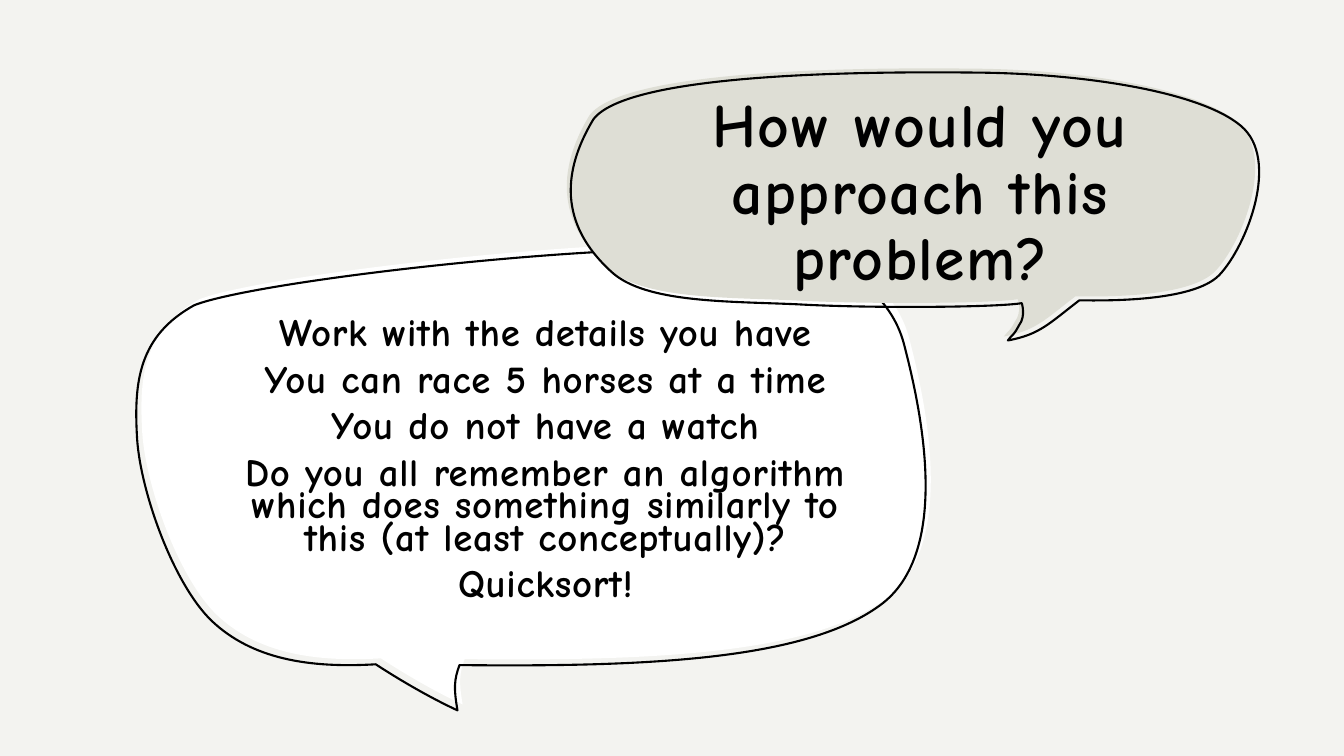
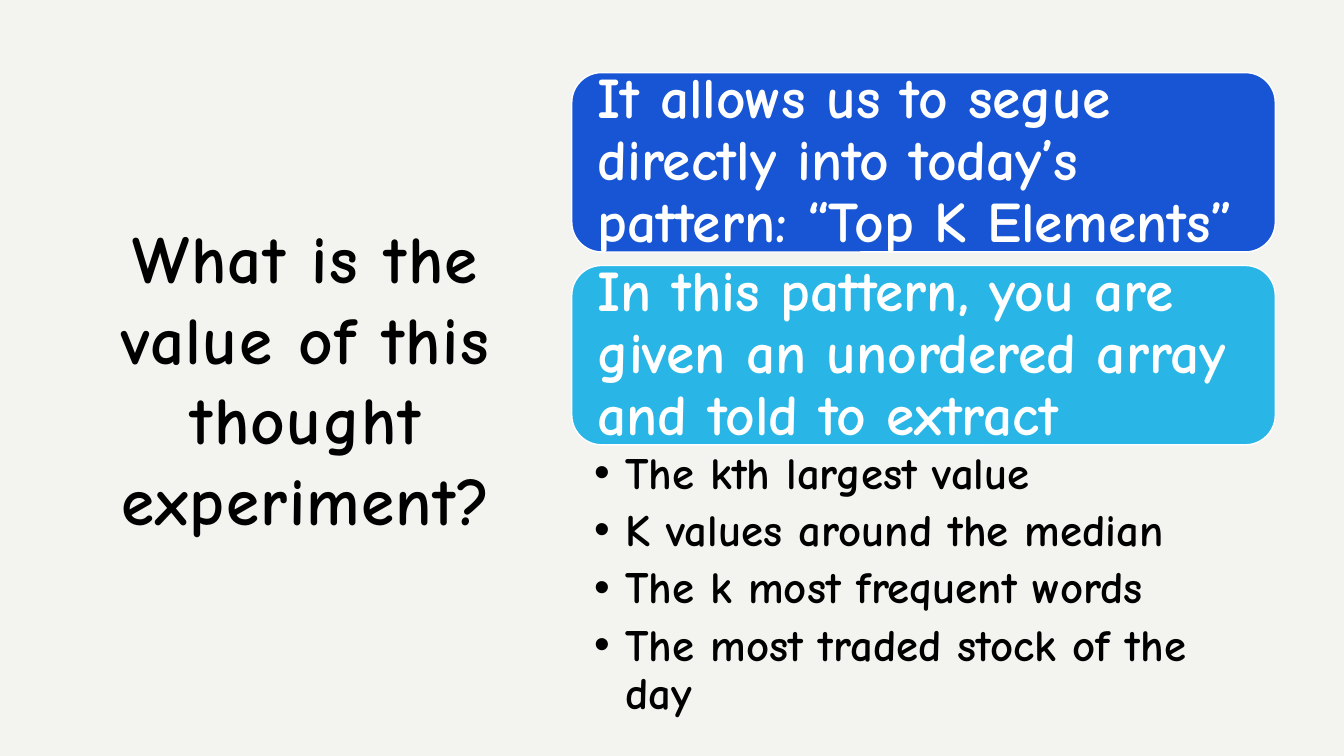
import lxml.etree
import pptx
import pptx.dml.color
import pptx.enum.shapes
import pptx.enum.text
import pptx.oxml.ns
import pptx.util
from dataclasses import dataclass

Cm = pptx.util.Cm
Pt = pptx.util.Pt
qn = pptx.oxml.ns.qn
RGB = pptx.dml.color.RGBColor.from_string
SHAPE = pptx.enum.shapes.MSO_SHAPE
CENTER = pptx.enum.text.PP_ALIGN.CENTER
LEFT = pptx.enum.text.PP_ALIGN.LEFT
MIDDLE = pptx.enum.text.MSO_ANCHOR.MIDDLE
TOP = pptx.enum.text.MSO_ANCHOR.TOP


@dataclass(frozen=True)
class Theme:
    font: str = "Comic Neue"
    paper: str = "F3F3F0"
    ink: str = "000000"
    white: str = "FFFFFF"
    stone: str = "DEDED5"
    blue: str = "1755D5"
    sky: str = "29B6E7"
    question_size: float = 44
    title_size: float = 48
    answer_size: float = 27.7
    card_size: float = 41
    list_size: float = 32
    outline: float = 1.5


theme = Theme()


def write(shape, lines, size, color=theme.ink, align=CENTER, anchor=MIDDLE, leading=1.0,
          before=0, after=0, tracking=0, insets=(0.25, 0.13, 0.25, 0.13), hanging=None):
    """Fill a shape with bold paragraphs; a hanging indent in cm makes them bulleted."""
    frame = shape.text_frame
    frame.word_wrap = True
    frame.auto_size = pptx.enum.text.MSO_AUTO_SIZE.NONE
    frame.vertical_anchor = anchor
    frame.margin_left, frame.margin_top, frame.margin_right, frame.margin_bottom = map(Cm, insets)
    for index, line in enumerate(lines):
        paragraph = frame.add_paragraph() if index else frame.paragraphs[0]
        paragraph.alignment = align
        paragraph.line_spacing = leading
        paragraph.space_before, paragraph.space_after = Pt(before), Pt(after)
        properties = paragraph._p.get_or_add_pPr()
        indent = Cm(hanging or 0)
        properties.set("marL", str(indent))
        properties.set("indent", str(-indent))
        if hanging:
            lxml.etree.SubElement(properties, qn("a:buFont")).set("typeface", "Arial")
            lxml.etree.SubElement(properties, qn("a:buChar")).set("char", "•")
        else:
            lxml.etree.SubElement(properties, qn("a:buNone"))
        run = paragraph.add_run()
        run.text = line
        run.font.name, run.font.size, run.font.bold = theme.font, Pt(size), True
        run.font.color.rgb = RGB(color)
        if tracking:
            run._r.get_or_add_rPr().set("spc", str(round(tracking * 100)))


def add_bubble(slide, start, curves, shift=(0, 0)):
    """Draw a closed outline of cubic curves, given in cm."""
    def place(x, y):
        return Cm(x + shift[0]), Cm(y + shift[1])

    # Points along the curves give the shape its exact bounds
    origin, samples = place(*start), []
    corner = origin
    curves = [[place(*point) for point in curve] for curve in curves]
    for curve in curves:
        for step in range(1, 11):
            t = step / 10
            weights = ((1 - t) ** 3, 3 * t * (1 - t) ** 2, 3 * t * t * (1 - t), t ** 3)
            points = (corner, *curve)
            samples.append(tuple(round(sum(w * p[axis] for w, p in zip(weights, points)))
                                 for axis in (0, 1)))
        corner = curve[-1]
    builder = slide.shapes.build_freeform(*origin)
    builder.add_line_segments(samples, close=True)
    bubble = builder.convert_to_shape()
    bubble.shadow.inherit = False

    # Real curves take the place of the straight segments
    outline = bubble._element.find(".//" + qn("a:path"))
    for segment in list(outline):
        outline.remove(segment)
    for tag, points in [("a:moveTo", [origin]), *(("a:cubicBezTo", curve) for curve in curves)]:
        segment = lxml.etree.SubElement(outline, qn(tag))
        for x, y in points:
            point = lxml.etree.SubElement(segment, qn("a:pt"))
            point.set("x", str(x - bubble.left))
            point.set("y", str(y - bubble.top))
    lxml.etree.SubElement(outline, qn("a:close"))
    return bubble


deck = pptx.Presentation()
deck.slide_width, deck.slide_height = Cm(33.87), Cm(19.05)
paper = deck.slide_master.background.fill
paper.solid()
paper.fore_color.rgb = RGB(theme.paper)

# Both slides lie on a full sheet, behind the placeholders
approach, value = [deck.slides.add_slide(deck.slide_layouts[1]) for _ in range(2)]
for slide in (approach, value):
    sheet = slide.shapes.add_shape(SHAPE.RECTANGLE, 0, 0, deck.slide_width, deck.slide_height)
    sheet.shadow.inherit = False
    sheet.fill.solid()
    sheet.fill.fore_color.rgb = RGB(theme.paper)
    sheet.line.fill.background()
    slide.shapes._spTree.insert(2, sheet._element)

# Slide 1: a question and its answer in speech bubbles
# Each bubble: fill, outline offset, starting point, curves
bubbles = [
    (theme.white, (-0.13, 0.15), (9.6, 16.59), [
        [(7.92, 16.69), (6.48, 16.46), (5.46, 15.49)],
        [(4.47, 14.53), (3.63, 12.12), (3.58, 10.8)],
        [(3.51, 9.47), (3.63, 8.31), (5.03, 7.54)],
        [(6.63, 6.91), (15.9, 5.84), (19.74, 6.17)],
        [(21.51, 6.38), (22.61, 7.37), (22.91, 8.51)],
        [(23.32, 10.08), (24.16, 13.77), (22.3, 15.11)],
        [(20.42, 16.48), (16.46, 16.66), (11.71, 16.61)],
        [(11.58, 16.97), (11.56, 17.17), (11.66, 17.75)],
        [(10.62, 17.27), (9.6, 16.59), (9.6, 16.59)],
    ]),
    (theme.stone, (0.1, 0.1), (25.65, 7.54), [
        [(24.99, 7.65), (21.77, 7.67), (20.02, 7.57)],
        [(18.26, 7.49), (16.18, 7.54), (15.32, 6.76)],
        [(14.45, 5.97), (13.74, 4.75), (14.86, 2.9)],
        [(15.77, 1.73), (21.77, 1.7), (24.49, 1.73)],
        [(27.2, 1.75), (30.15, 2.21), (31.17, 3.07)],
        [(32.18, 3.91), (31.32, 6.1), (30.63, 6.83)],
        [(29.95, 7.54), (27.56, 7.47), (27.1, 7.47)],
        [(26.34, 8.05), (26.11, 8.33), (25.3, 8.48)],
        [(25.45, 8.28), (25.43, 8.38), (25.58, 8.1)],
        [(25.76, 7.87), (25.65, 7.54), (25.65, 7.54)],
    ]),
]
for color, offset, start, curves in bubbles:
    body = add_bubble(approach, start, curves)
    body.fill.solid()
    body.fill.fore_color.rgb = RGB(color)
    body.line.fill.background()
    rim = add_bubble(approach, start, curves, offset)
    rim.fill.background()
    rim.line.color.rgb = RGB(theme.ink)
    rim.line.width = Pt(theme.outline)

# Text goes in front of the bubbles
question, answer = approach.placeholders
for words in (question, answer):
    approach.shapes._spTree.append(words._element)
question.left, question.top, question.width, question.height = Cm(16.33), Cm(3), Cm(13.74), Cm(3.78)
write(question, ["How would you approach this problem?"], theme.question_size,
      leading=0.9, tracking=1)
answer.left, answer.top, answer.width, answer.height = Cm(5.61), Cm(7.98), Cm(16.28), Cm(7.34)
write(answer, [
    "Work with the details you have",
    "You can race 5 horses at a time",
    "You do not have a watch",
    "Do you all remember an algorithm which does something similarly to this "
    "(at least conceptually)?",
    "Quicksort!",
], theme.answer_size, leading=0.7, before=10, tracking=0.5)

# Slide 2: the value of the experiment
heading, examples = value.placeholders
heading.left, heading.top, heading.width, heading.height = Cm(2.46), Cm(2.7), Cm(10.52), Cm(13.64)
write(heading, ["What is the value of this thought experiment?"], theme.title_size, tracking=1)

# Cards stacked at an equal pitch
column_left, column_width = Cm(14.41), Cm(17.73)
card_top, card_height, card_pitch = Cm(1.83), Cm(4.52), Cm(4.86)
cards = [
    (theme.blue, "It allows us to segue directly into today’s pattern: “Top K Elements”"),
    (theme.sky, "In this pattern, you are given an unordered array and told to extract"),
]
for row, (color, statement) in enumerate(cards):
    card = value.shapes.add_shape(SHAPE.ROUNDED_RECTANGLE, column_left,
                                  card_top + row * card_pitch, column_width, card_height)
    card.shadow.inherit = False
    card.fill.solid()
    card.fill.fore_color.rgb = RGB(color)
    card.line.color.rgb = RGB(theme.white)
    card.line.width = Pt(1)
    write(card, [statement], theme.card_size, theme.white, LEFT, leading=0.9,
          insets=(0.43, 0, 0.43, 0))

# Examples listed under the last card
examples.left, examples.top = column_left, Cm(11.2)
examples.width, examples.height = column_width, Cm(6.02)
write(examples, [
    "The kth largest value",
    "K values around the median",
    "The k most frequent words",
    "The most traded stock of the day",
], theme.list_size, align=LEFT, anchor=TOP, leading=0.9, after=6.4,
    insets=(0.56, 0.15, 0.81, 0.15), hanging=0.79)

deck.save("out.pptx")
